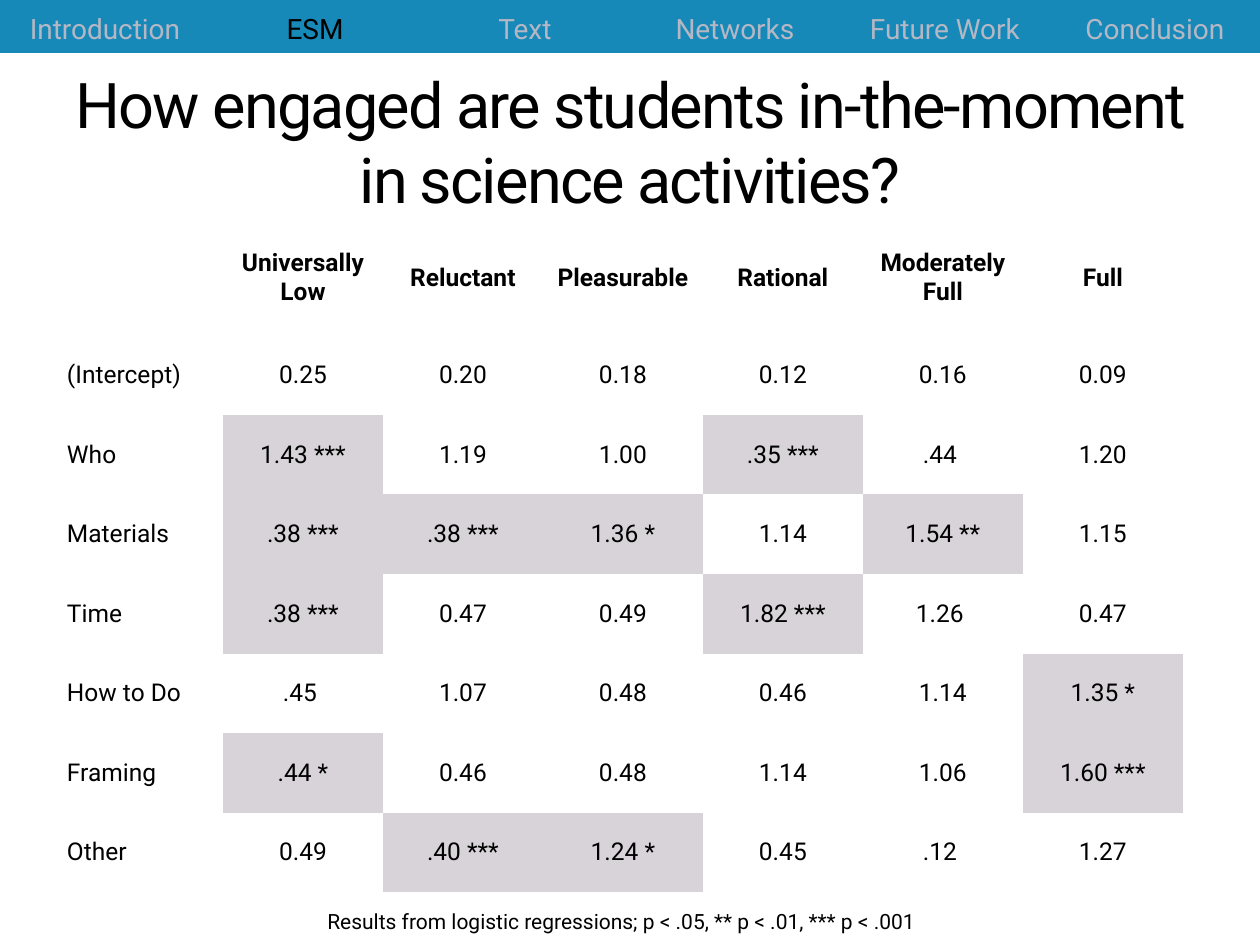
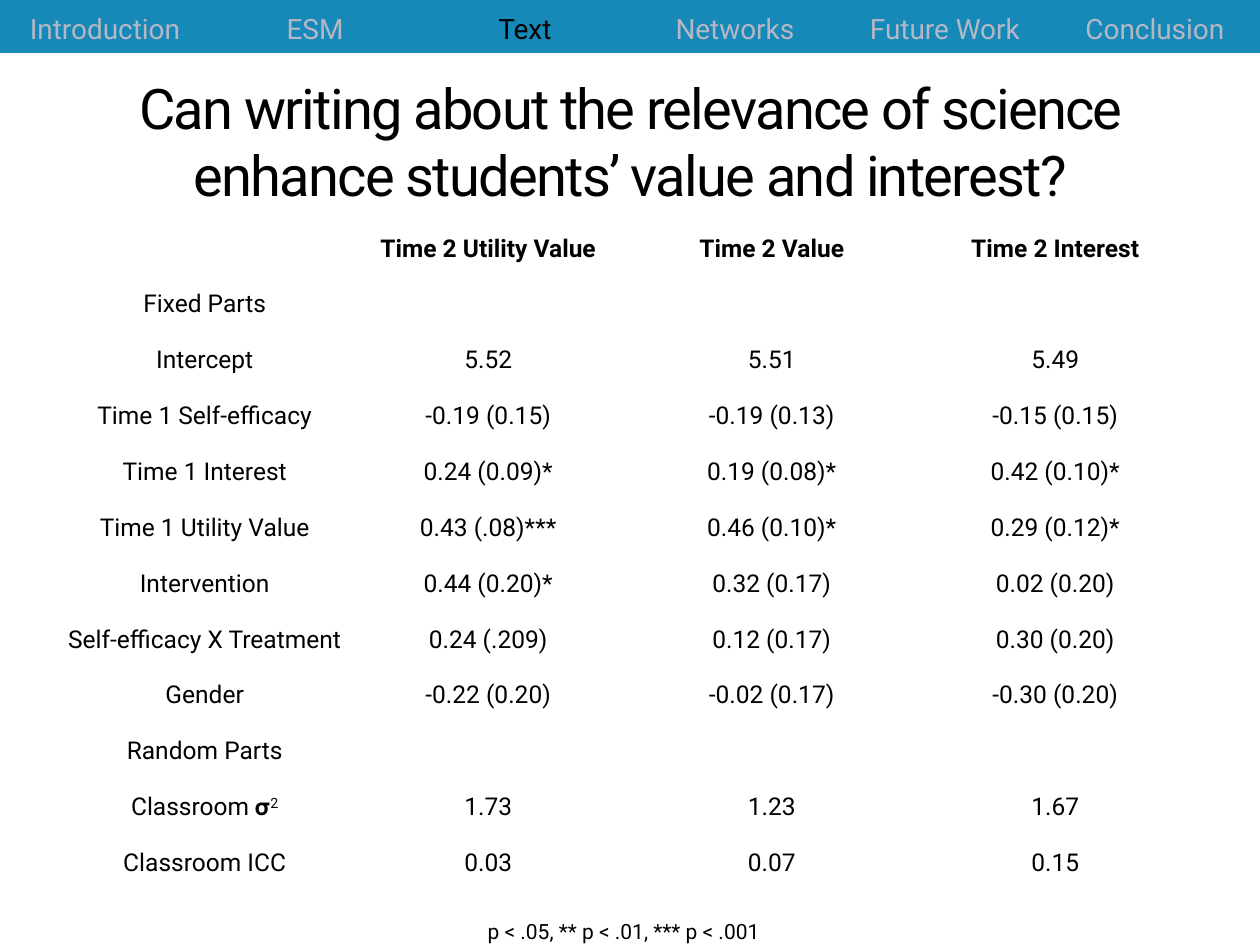
from dataclasses import dataclass

from pptx import Presentation
from pptx.dml.color import RGBColor
from pptx.enum.shapes import MSO_SHAPE
from pptx.enum.text import MSO_ANCHOR, MSO_AUTO_SIZE, PP_ALIGN
from pptx.oxml.ns import qn
from pptx.util import Cm, Pt

RECTANGLE = MSO_SHAPE.RECTANGLE
MIDDLE, BOTTOM = MSO_ANCHOR.MIDDLE, MSO_ANCHOR.BOTTOM
LEFT, CENTER = PP_ALIGN.LEFT, PP_ALIGN.CENTER
GROW = MSO_AUTO_SIZE.SHAPE_TO_FIT_TEXT
NO_STYLE_NO_GRID = "{2D5ABB26-0587-4C30-8999-92F81FD0307C}"


@dataclass(frozen=True)
class Theme:
    font: str = "Roboto"
    symbol_font: str = "Times New Roman"
    band: RGBColor = RGBColor(0x16, 0x89, 0xB9)
    muted: RGBColor = RGBColor(0xB5, 0xB8, 0xC4)
    ink: RGBColor = RGBColor(0, 0, 0)
    significant: RGBColor = RGBColor(0xD8, 0xD3, 0xD9)
    nav_size: int = 16
    body_size: int = 14
    note_size: int = 12


THEME = Theme()
SLIDE_W, SLIDE_H = 25.4, 19.05
MARGIN, TABLE_TOP = 1.27, 4.45
SECTIONS = ["Introduction", "ESM", "Text", "Networks", "Future Work", "Conclusion"]

ENGAGEMENT_ROWS = [
    ["", "Universally Low", "Reluctant", "Pleasurable", "Rational", "Moderately Full", "Full"],
    ["(Intercept)", "0.25", "0.20", "0.18", "0.12", "0.16", "0.09"],
    ["Who", "1.43 ***", "1.19", "1.00", ".35 ***", ".44 ", "1.20"],
    ["Materials", ".38 ***", ".38 ***", "1.36 *", "1.14", "1.54 **", "1.15"],
    ["Time", ".38 ***", "0.47", "0.49", "1.82 ***", "1.26 ", "0.47"],
    ["How to Do", ".45 ", "1.07", "0.48", "0.46", "1.14", "1.35 *"],
    ["Framing", ".44 *", "0.46", "0.48", "1.14", "1.06", "1.60 ***"],
    ["Other", "0.49", ".40 ***", "1.24 *", "0.45", ".12 ", "1.27"],
]

CLASSROOM_VARIANCE = [
    ("Classroom ", {}),
    ("𝞂", {"name": THEME.symbol_font}),
    ("2", {"baseline": 30000}),
]
WRITING_ROWS = [
    ["", "Time 2 Utility Value", "Time 2 Value", "Time 2 Interest"],
    ["Fixed Parts", "", "", ""],
    ["Intercept", "5.52", "5.51", "5.49"],
    ["Time 1 Self-efficacy", "-0.19 (0.15)", "-0.19 (0.13)", "-0.15 (0.15)"],
    ["Time 1 Interest", "0.24 (0.09)*", "0.19 (0.08)*", "0.42 (0.10)*"],
    ["Time 1 Utility Value", "0.43 (.08)***", "0.46 (0.10)*", "0.29 (0.12)*"],
    ["Intervention", "0.44 (0.20)*", "0.32 (0.17)", "0.02 (0.20)"],
    ["Self-efficacy X Treatment", "0.24 (.209)", "0.12 (0.17)", "0.30 (0.20)"],
    ["Gender", "-0.22 (0.20)", "-0.02 (0.17)", "-0.30 (0.20)"],
    ["Random Parts", "", "", ""],
    [CLASSROOM_VARIANCE, "1.73", "1.23", "1.67"],
    ["Classroom ICC", "0.03", "0.07", "0.15"],
]


class Deck:
    def __init__(self, theme):
        self.theme = theme
        self.prs = Presentation()
        self.prs.slide_width, self.prs.slide_height = Cm(SLIDE_W), Cm(SLIDE_H)
        self.s = None

    def new_slide(self):
        self.s = self.prs.slides.add_slide(self.prs.slide_layouts[6])

    def put_text(self, tf, content, align=LEFT, color=None, **font):
        """Fill one paragraph from a string or a list of (text, format) runs."""
        p = tf.paragraphs[0]
        p.alignment = align
        runs = [(content, {})] if isinstance(content, str) else content
        for text, extra in runs:
            r = p.add_run()
            r.text = text
            for key, value in {"name": self.theme.font, **font, **extra}.items():
                if key in ("spc", "baseline"):
                    r.font._element.set(key, str(value))
                else:
                    setattr(r.font, key, Pt(value) if key == "size" else value)
            r.font.color.rgb = color or self.theme.ink

    def band(self):
        sp = self.s.shapes.add_shape(RECTANGLE, 0, 0, Cm(SLIDE_W), Cm(1.02))
        sp.shadow.inherit = False
        sp.fill.solid()
        sp.fill.fore_color.rgb = self.theme.band
        sp.line.fill.background()

    def title(self, text, size):
        width = SLIDE_W - 2 * MARGIN
        sp = self.s.shapes.add_textbox(Cm(MARGIN), Cm(1.47), Cm(width), Cm(2.74))
        tf = sp.text_frame
        tf.word_wrap, tf.vertical_anchor = True, MIDDLE
        self.put_text(tf, text, CENTER, size=size, spc=-100)

    def note(self, text, left, top, width):
        sp = self.s.shapes.add_textbox(Cm(left), Cm(top), Cm(width), Cm(0.76))
        tf = sp.text_frame
        tf.word_wrap, tf.auto_size = False, GROW
        self.put_text(tf, text, size=self.theme.note_size)

    def grid(self, rows, cols, left, top, width, height):
        """Add a table without style, with equal columns and rows."""
        frame = self.s.shapes.add_table(rows, cols, Cm(left), Cm(top), Cm(width), Cm(height))
        next(frame.element.iter(qn("a:tableStyleId"))).text = NO_STYLE_NO_GRID
        table = frame.table
        table.first_row = table.horz_banding = False
        return table

    def nav(self, current):
        table = self.grid(1, len(SECTIONS), 0, -0.08, SLIDE_W, 1.14)
        for cell, section in zip(table.iter_cells(), SECTIONS):
            cell.vertical_anchor = BOTTOM
            cell.fill.solid()
            cell.fill.fore_color.rgb = self.theme.band
            color = self.theme.ink if section == current else self.theme.muted
            self.put_text(cell.text_frame, section, CENTER, color, size=self.theme.nav_size)

    def results(self, rows, width, height, inset, header_height=None,
                label_align=CENTER, shade_significant=False):
        """Add a results table; starred cells can be shaded as significant."""
        table = self.grid(len(rows), len(rows[0]), MARGIN, TABLE_TOP, width, height)
        if header_height:
            body_height = (height - header_height) / (len(rows) - 1)
            for i, row in enumerate(table.rows):
                row.height = Cm(body_height if i else header_height)
        for i, row in enumerate(rows):
            for j, content in enumerate(row):
                cell = table.cell(i, j)
                cell.vertical_anchor = MIDDLE
                for side in ("left", "right", "top", "bottom"):
                    setattr(cell, f"margin_{side}", Cm(inset))
                if shade_significant and "*" in content:
                    cell.fill.solid()
                    cell.fill.fore_color.rgb = self.theme.significant
                else:
                    cell.fill.background()
                if content:
                    self.put_text(cell.text_frame, content, CENTER if j else label_align,
                                  size=self.theme.body_size, bold=i == 0)


def engagement_slide(deck):
    deck.new_slide()
    deck.band()
    deck.title("How engaged are students in-the-moment in science activities?", 36)
    deck.results(ENGAGEMENT_ROWS, 22.58, 13.54, 0.08, header_height=2.31,
                 label_align=LEFT, shade_significant=True)
    deck.note("Results from logistic regressions; p < .05, ** p < .01, *** p < .001",
              6.35, 18.19, 12.7)
    deck.nav("ESM")


def writing_slide(deck):
    deck.new_slide()
    deck.band()
    deck.title("Can writing about the relevance of science enhance "
               "students’ value and interest?", 32)
    deck.results(WRITING_ROWS, 22.86, 13.52, 0.03)
    deck.note("p < .05, ** p < .01, *** p < .001", 9.58, 18.39, 6.25)
    deck.nav("Text")


def main():
    deck = Deck(THEME)
    engagement_slide(deck)
    writing_slide(deck)
    deck.prs.save("out.pptx")


if __name__ == "__main__":
    main()
